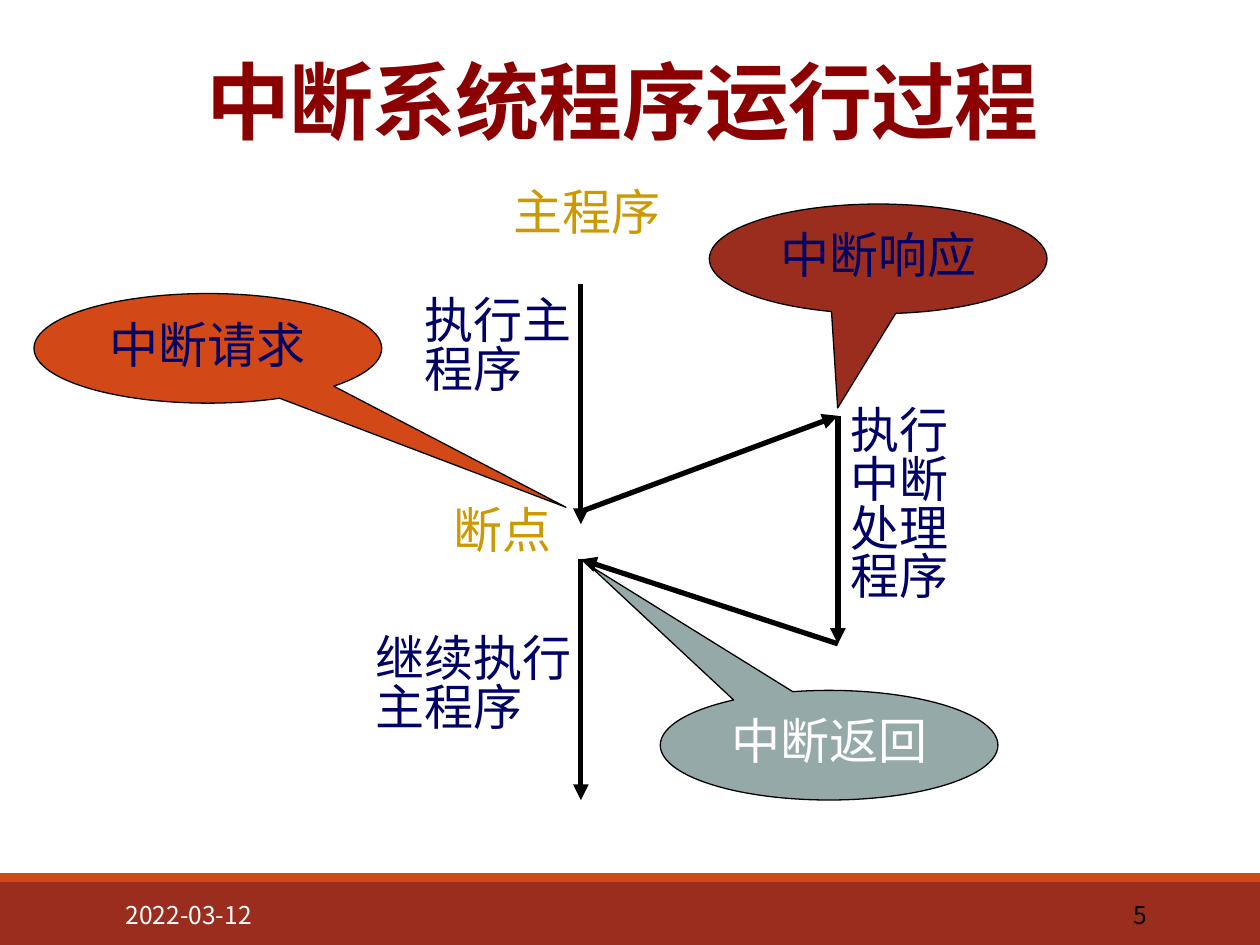
from pptx import Presentation
from pptx.dml.color import RGBColor
from pptx.enum.shapes import MSO_CONNECTOR as Connector, MSO_SHAPE as Shape
from pptx.enum.text import MSO_ANCHOR as Anchor, PP_ALIGN as Align
from pptx.oxml.ns import qn
from pptx.util import Inches, Pt
from lxml.etree import SubElement

FONT = "Noto Sans CJK SC"
WIDTH, HEIGHT = 10, 7.5
BLACK, WHITE, NAVY, GOLD = "000000", "FFFFFF", "000066", "CC9900"
RED, ORANGE, GREY, DARK_RED = "9B2D1F", "D34817", "96A9A9", "8B0000"

# Content: boxes are left, top, width, height in inches
TITLE = ("中断系统程序运行过程", (1.54, 0.43, 7.57, 1.38))
BANDS = [((0, 7, WIDTH, 0.5), RED), ((0, 6.93, WIDTH, 0.07), ORANGE)]
FOOTERS = [
    ("2022-03-12", (0.9, 7.06, 2.03, 0.4), WHITE, Align.LEFT),
    ("5", (8.12, 7.06, 1.08, 0.4), BLACK, Align.RIGHT),
]
LABELS = [
    ("执行主程序", (3.27, 2.33, 1.5, 1.03), NAVY),
    ("主程序", (3.98, 1.47, 1.42, 0.57), GOLD),
    ("继续执行主程序", (2.88, 5.01, 1.89, 1.03), NAVY),
    ("断点", (3.5, 3.99, 1.02, 0.57), GOLD),
    ("执行中断处理程序", (6.65, 3.2, 1.02, 1.97), NAVY),
]
# Text, box, pointer tip relative to the centre, fill, text colour
CALLOUTS = [
    ("中断请求", (0.27, 2.33, 2.76, 0.87), (1.03, 1.45), ORANGE, NAVY),
    ("中断响应", (5.63, 1.62, 2.68, 0.87), (-0.12, 1.36), RED, NAVY),
    ("中断返回", (5.24, 5.48, 2.68, 0.87), (-0.71, -1.64), GREY, WHITE),
]

# Flow: main program on the left column, interrupt handler on the right
MAIN_X, HANDLER_X = 4.61, 6.65
MAIN_RUN = 1.91
START, BREAKPOINT, RESUME = 2.25, 4.06, 4.44
ENTRY, EXIT = 3.3, 5.11
ARROWS = [
    ((MAIN_X, START), (MAIN_X, START + MAIN_RUN)),
    ((HANDLER_X, ENTRY), (HANDLER_X, EXIT)),
    ((MAIN_X, RESUME), (MAIN_X, RESUME + MAIN_RUN)),
    ((MAIN_X, BREAKPOINT), (HANDLER_X, ENTRY)),
    ((HANDLER_X, EXIT), (MAIN_X, RESUME)),
]


def color(value):
    return RGBColor.from_string(value)


def inches(values):
    return [Inches(value) for value in values]


def write(shape, text, size, ink, align=Align.LEFT, anchor=Anchor.TOP, spacing=None):
    frame = shape.text_frame
    frame.word_wrap = True
    frame.vertical_anchor = anchor
    para = frame.paragraphs[0]
    para.alignment = align
    para.line_spacing = spacing
    span = para.add_run()
    span.text = text
    span.font.size = Pt(size)
    span.font.name = FONT
    span.font.color.rgb = color(ink)
    SubElement(span.font._element, qn("a:ea"), typeface=FONT)
    return span


def add_filled(slide, kind, box, fill):
    shape = slide.shapes.add_shape(kind, *inches(box))
    shape.shadow.inherit = False
    shape.fill.solid()
    shape.fill.fore_color.rgb = color(fill)
    shape.line.fill.background()
    return shape


def add_arrow(slide, start, end):
    arrow = slide.shapes.add_connector(Connector.STRAIGHT, *inches(start + end))
    arrow.line.color.rgb = color(BLACK)
    arrow.line.width = Pt(3)
    SubElement(arrow.line._get_or_add_ln(), qn("a:tailEnd"), type="triangle")
    SubElement(arrow._element.spPr, qn("a:effectLst"))


def main():
    deck = Presentation()
    deck.slide_width, deck.slide_height = inches((WIDTH, HEIGHT))
    slide = deck.slides.add_slide(deck.slide_layouts[5])

    # Footer bands, date and page number
    for box, fill in BANDS:
        add_filled(slide, Shape.RECTANGLE, box, fill)
    for text, box, ink, align in FOOTERS:
        write(slide.shapes.add_textbox(*inches(box)), text, 14, ink, align, Anchor.MIDDLE)

    # Title
    text, box = TITLE
    title = slide.shapes.title
    title.left, title.top, title.width, title.height = inches(box)
    span = write(title, text, 48, DARK_RED, spacing=0.9)
    span.font.bold = True
    span.font._element.set("spc", "-50")

    # Flow arrows and their labels
    for start, end in ARROWS:
        add_arrow(slide, start, end)
    for text, box, ink in LABELS:
        write(slide.shapes.add_textbox(*inches(box)), text, 28, ink, spacing=0.83)

    # Callouts
    for text, box, tip, fill, ink in CALLOUTS:
        callout = add_filled(slide, Shape.OVAL_CALLOUT, box, fill)
        callout.adjustments[0], callout.adjustments[1] = tip
        callout.line.color.rgb = color(BLACK)
        callout.line.width = Pt(0.75)
        write(callout, text, 28, ink, Align.CENTER, Anchor.MIDDLE, 0.83)

    deck.save("out.pptx")


if __name__ == "__main__":
    main()
